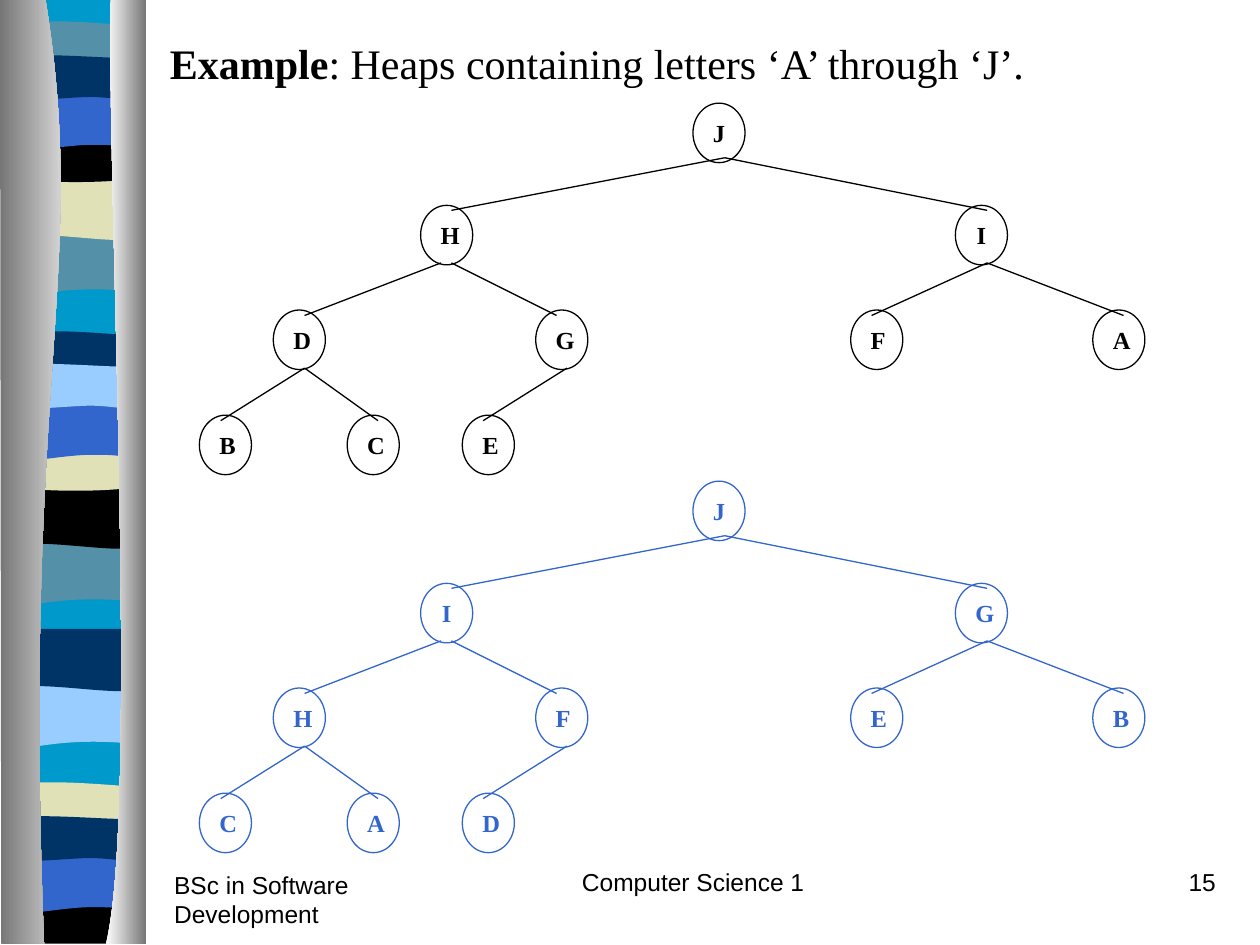
from pptx import Presentation
from pptx.dml.color import RGBColor
from pptx.enum.shapes import MSO_CONNECTOR, MSO_SHAPE
from pptx.enum.text import MSO_ANCHOR, MSO_AUTO_SIZE, PP_ALIGN
from pptx.oxml.ns import qn
from pptx.util import Cm, Pt
from lxml import etree

OVAL = MSO_SHAPE.OVAL
STRAIGHT = MSO_CONNECTOR.STRAIGHT
TOP, MIDDLE = MSO_ANCHOR.TOP, MSO_ANCHOR.MIDDLE
LEFT, CENTER, RIGHT = PP_ALIGN.LEFT, PP_ALIGN.CENTER, PP_ALIGN.RIGHT
NO_AUTOFIT = MSO_AUTO_SIZE.NONE

COLORS = {
    "black": "000000", "blue": "3366CC", "cyan": "0099CC", "teal": "5490A8",
    "sand": "E1E1B7", "navy": "003366", "sky": "99CCFF",
    "grey": "767676", "white": "FFFFFF",
}
SERIF, SANS = "Times New Roman", "Arial"

TITLE = [("Example", True), (": Heaps containing letters ‘A’ through ‘J’.", False)]
FOOTERS = [
    ("Computer Science 1", 9.95, 17.35, 8.05, CENTER),
    ("15", 19.48, 17.35, 5.28, RIGHT),
    ("BSc in Software Development", 3.26, 17.41, 5.28, LEFT),
]

HEAPS = [("JIGHFEBCAD", "blue", 9.7), ("JHIDGFABCE", "black", 2.08)]
NODE_LEFTS = [13.97, 8.48, 19.26, 5.51, 10.8, 17.15, 22.03, 4.02, 7.0, 9.32]
NODE_WIDTH, NODE_HEIGHT = 1.05, 1.2
LEVEL_TOPS = [0, 2.06, 4.17, 6.29]
EDGE_ENDS = [
    (14.61, 9.1), (14.61, 19.9), (8.89, 6.14), (9.1, 11.22), (19.9, 17.57),
    (19.9, 22.65), (6.14, 4.45), (6.14, 7.62), (11.43, 9.74),
]
EDGE_TOP, EDGE_GAP, EDGE_DROP = 1.1, 2.12, 1.06

STRIPE_LEFT = 6
STRIPES = {
    "panel": [(108, 0), (108, 748), (0, 748), (0, 0)],
    "swell": [(108, 0), (108, 47), (33, 39, 18, 55, 0, 47), (0, 0)],
    "slope": [(108, 0), (108, 47), (90, 55, 33, 41, 0, 47), (0, 0)],
    "ribbon": [(108, 5), (108, 29), (90, 33, 18, 33, 0, 29), (0, 5),
               (6, 0, 23, 1, 41, 1), (59, 1, 94, 4, 108, 5)],
    "lens": [(108, 0), (108, 32), (90, 38, 18, 38, 0, 32), (0, 0),
             (66, 5, 85, 0, 108, 0)],
    "base": [(108, 0), (108, 37), (0, 37), (0, 0), (66, 5, 85, 0, 108, 0)],
    "arch": [(108, 0), (108, 47), (91, 41, 84, 41, 66, 41),
             (48, 41, 16, 47, 0, 47), (0, 0)],
    "wave": [(108, 5), (108, 36), (101, 41, 84, 36, 66, 36),
             (48, 36, 11, 41, 0, 36), (0, 5), (15, 0, 73, 5, 91, 5),
             (109, 5, 104, 5, 108, 5)],
}
STRIPE_ORDER = [
    ("panel", -1, "cyan"),
    ("swell", 185, "teal"), ("slope", 141, "sand"), ("ribbon", 16, "teal"),
    ("lens", 108, "black"), ("arch", 74, "blue"), ("wave", 41, "navy"),
    ("swell", 431, "teal"), ("slope", 386, "black"), ("ribbon", 262, "navy"),
    ("lens", 353, "sand"), ("arch", 320, "blue"), ("wave", 286, "sky"),
    ("swell", 544, "sky"), ("slope", 499, "navy"), ("ribbon", 620, "sand"),
    ("base", 712, "black"), ("arch", 679, "blue"), ("wave", 645, "navy"),
]
PILLARS = [
    ([(36, -1), (71, 216, 17, 296, 35, 749), (1, 749), (0, -1)], "grey", "white"),
    ([(88, -1), (84, 125, 111, 646, 84, 749), (116, 749), (116, 0)], "white", "grey"),
]
MASTER_ID_OFFSET = 100


def rgb(name):
    return RGBColor.from_string(COLORS[name])


def bend_curves(outline, path):
    segments = iter(list(outline.element.iter(qn("a:lnTo"))))
    for step in path[1:]:
        controls = [next(segments) for _ in range(len(step) // 2)]
        if len(controls) == 1:
            continue
        curve = etree.Element(qn("a:cubicBezTo"))
        controls[0].addprevious(curve)
        for control in controls:
            curve.append(control[0])
            control.getparent().remove(control)


def add_outline(group, path, left=0, top=0):
    unit = Cm(2.54) / 100
    points = [((x + left) * unit, (y + top) * unit)
              for step in path for x, y in zip(step[::2], step[1::2])]
    builder = group.shapes.build_freeform(*points[0])
    builder.add_line_segments(points[1:], close=True)
    outline = builder.convert_to_shape()
    bend_curves(outline, path)
    outline.shadow.inherit = False
    outline.line.fill.background()
    return outline


def add_border(slide):
    group = slide.shapes.add_group_shape()
    for kind, top, color in STRIPE_ORDER:
        stripe = add_outline(group, STRIPES[kind], STRIPE_LEFT, top)
        stripe.fill.solid()
        stripe.fill.fore_color.rgb = rgb(color)
    for path, start, end in PILLARS:
        pillar = add_outline(group, path)
        pillar.fill.gradient()
        pillar.fill.gradient_angle = 0
        for stop, color in zip(pillar.fill.gradient_stops, (start, end)):
            stop.color.rgb = rgb(color)
    for properties in group.element.iter(qn("p:cNvPr")):
        properties.set("id", str(int(properties.get("id")) + MASTER_ID_OFFSET))
    slide.slide_layout.slide_master.shapes.element.insert(2, group.element)


def style(para, font_name, size, color, align):
    para.alignment = align
    para.font.name = font_name
    para.font.size = Pt(size)
    para.font.color.rgb = rgb(color)


def add_heap(slide, letters, color, top):
    group = slide.shapes.add_group_shape()
    for number, (letter, left) in enumerate(zip(letters, NODE_LEFTS), 1):
        level = number.bit_length() - 1
        node = group.shapes.add_shape(
            OVAL, Cm(left), Cm(top + LEVEL_TOPS[level]), Cm(NODE_WIDTH), Cm(NODE_HEIGHT))
        node.shadow.inherit = False
        node.fill.background()
        node.line.color.rgb = rgb(color)
        node.line.width = Pt(0.75)
        node.text_frame.vertical_anchor = MIDDLE
        para = node.text_frame.paragraphs[0]
        para.text = letter
        style(para, SERIF, 14, color, CENTER)
        para.font.bold = True
    for child, (start_x, end_x) in enumerate(EDGE_ENDS, 2):
        level = child.bit_length() - 2
        start_y = top + EDGE_TOP + level * EDGE_GAP
        edge = group.shapes.add_connector(
            STRAIGHT, Cm(start_x), Cm(start_y), Cm(end_x), Cm(start_y + EDGE_DROP))
        edge.line.color.rgb = rgb(color)
        edge.line.width = Pt(0.75)
        etree.SubElement(edge.element.spPr, qn("a:effectLst"))


def add_title(slide):
    title = slide.shapes.title
    title.left, title.top, title.width, title.height = Cm(3.17), Cm(0.62), Cm(21.38), Cm(1.27)
    frame = title.text_frame
    frame.vertical_anchor = TOP
    frame.auto_size = NO_AUTOFIT
    para = frame.paragraphs[0]
    para.space_before = Pt(15)
    style(para, SERIF, 24, "black", LEFT)
    for text, bold in TITLE:
        span = para.add_run()
        span.text = text
        span.font.bold = bold


def add_footer(slide, text, left, top, width, align):
    box = slide.shapes.add_textbox(Cm(left), Cm(top), Cm(width), Cm(1.27))
    box.text_frame.word_wrap = True
    para = box.text_frame.paragraphs[0]
    para.text = text
    para.space_before = Pt(8.8)
    style(para, SANS, 14, "black", align)


def main():
    deck = Presentation()
    deck.slide_width, deck.slide_height = Cm(25.4), Cm(19.05)
    slide = deck.slides.add_slide(deck.slide_layouts[5])
    add_border(slide)
    add_title(slide)
    for heap in HEAPS:
        add_heap(slide, *heap)
    for footer in FOOTERS:
        add_footer(slide, *footer)
    deck.save("out.pptx")


if __name__ == "__main__":
    main()
